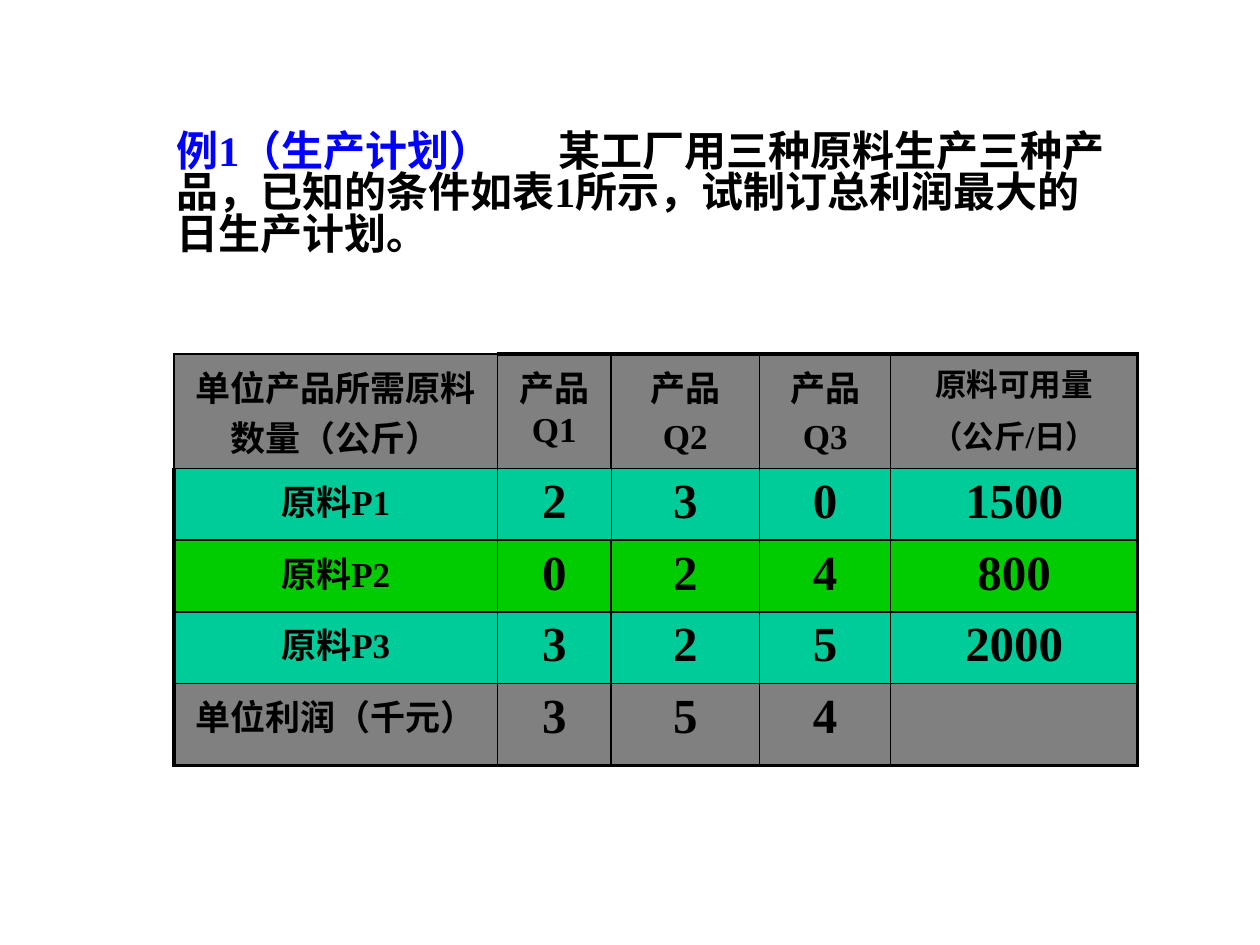
from lxml.etree import SubElement
from pptx import Presentation
from pptx.dml.color import RGBColor
from pptx.enum.lang import MSO_LANGUAGE_ID
from pptx.enum.text import MSO_ANCHOR, MSO_AUTO_SIZE, PP_ALIGN
from pptx.oxml.ns import qn
from pptx.util import Inches, Pt

BLACK = RGBColor(0x00, 0x00, 0x00)
WHITE = RGBColor(0xFF, 0xFF, 0xFF)
BLUE = RGBColor(0x00, 0x00, 0xFF)
GREY = RGBColor(0x80, 0x80, 0x80)
TEAL = RGBColor(0x00, 0xCC, 0x99)
GREEN = RGBColor(0x00, 0xCC, 0x00)

THIN, THICK, HAIR = 1, 2.25, 0.25
COLUMN_WIDTHS = [2.57, 0.9, 1.18, 1.04, 1.96]
ROW_HEIGHTS = [0.83, 0.57, 0.57, 0.57, 0.65]
ROW_FILLS = [GREY, TEAL, GREEN, TEAL, GREY]
ROWS = [
    ["单位产品所需原料数量（公斤）", "产品Q1", "产品\nQ2", "产品\nQ3", "原料可用量\n（公斤/日）"],
    ["原料P1", "2", "3", "0", "1500"],
    ["原料P2", "0", "2", "4", "800"],
    ["原料P3", "3", "2", "5", "2000"],
    ["单位利润（千元）", "3", "5", "4", ""],
]
LAST_ROW, LAST_COLUMN = len(ROWS) - 1, len(COLUMN_WIDTHS) - 1


def text_size(row, column):
    if row == 0 and column == LAST_COLUMN:
        return 18
    return 20 if row == 0 or column == 0 else 28


def border_widths(row, column):
    """Thick outer frame, except on the outer sides of the corner cell."""
    widths = {
        "a:lnL": THICK if column == 0 and row > 0 else THIN,
        "a:lnR": THICK if column == LAST_COLUMN else THIN,
        "a:lnT": THICK if row == 0 and column > 0 else THIN,
        "a:lnB": THICK if row == LAST_ROW else THIN,
    }
    if (row, column) == (1, 1):
        widths["a:lnR"] = HAIR
    if (row, column) == (1, 2):
        widths["a:lnL"] = HAIR
    return widths


class SlideBuilder:
    font_name = "Times New Roman"

    def __init__(self, page):
        self.page = page

    def add_span(self, para, text, size, color=BLACK):
        span = para.add_run()
        span.text = text
        font = span.font
        font.name, font.size, font.bold = self.font_name, Pt(size), True
        font.color.rgb = color
        font.language_id = MSO_LANGUAGE_ID.SIMPLIFIED_CHINESE

    def add_title(self, spans, size, tab_position):
        box = self.page.shapes.title
        box.left, box.top = Inches(1.3), Inches(0.84)
        box.width, box.height = Inches(7.58), Inches(1.42)
        box.fill.solid()
        box.fill.fore_color.rgb = WHITE
        box.line.color.rgb = WHITE
        box.line.width = Pt(0.75)
        frame = box.text_frame
        frame.word_wrap = True
        frame.auto_size = MSO_AUTO_SIZE.NONE
        frame.vertical_anchor = MSO_ANCHOR.MIDDLE
        para = frame.paragraphs[0]
        para.alignment = PP_ALIGN.LEFT
        para.line_spacing = 0.83
        tabs = SubElement(para._p.get_or_add_pPr(), qn("a:tabLst"))
        SubElement(tabs, qn("a:tab"), pos=str(tab_position), algn="l")
        for text, color in spans:
            self.add_span(para, text, size, color)

    def add_table(self):
        frame = self.page.shapes.add_table(
            len(ROWS), len(COLUMN_WIDTHS), Inches(1.38), Inches(2.81),
            Inches(sum(COLUMN_WIDTHS)), Inches(sum(ROW_HEIGHTS)))
        table = frame.table
        table.first_row = table.horz_banding = False
        for column, width in zip(table.columns, COLUMN_WIDTHS):
            column.width = Inches(width)
        for row, height in zip(table.rows, ROW_HEIGHTS):
            row.height = Inches(height)
        for r, texts in enumerate(ROWS):
            for c, text in enumerate(texts):
                self.fill_cell(table.cell(r, c), text, text_size(r, c),
                               ROW_FILLS[r], border_widths(r, c))

    def fill_cell(self, cell, text, size, color, borders):
        for name, width in borders.items():
            line = SubElement(cell._tc.get_or_add_tcPr(), qn(name), w=str(Pt(width)))
            fill = SubElement(line, qn("a:solidFill"))
            SubElement(fill, qn("a:srgbClr"), val=str(BLACK))
        cell.fill.solid()
        cell.fill.fore_color.rgb = color
        if not text:
            return
        for index, line_text in enumerate(text.split("\n")):
            frame = cell.text_frame
            para = frame.add_paragraph() if index else frame.paragraphs[0]
            para.alignment = PP_ALIGN.CENTER
            if index:
                para.space_before = Pt(0.2 * size)
            self.add_span(para, line_text, size)


def main():
    deck = Presentation()
    deck.slide_width, deck.slide_height = Inches(10), Inches(7.5)
    builder = SlideBuilder(deck.slides.add_slide(deck.slide_layouts[5]))
    builder.add_title(
        [("例1（生产计划）", BLUE),
         ("\t某工厂用三种原料生产三种产品，已知的条件如表1所示，"
          "试制订总利润最大的日生产计划。", BLACK)],
        size=24, tab_position=Inches(3.03))
    builder.add_table()
    deck.save("out.pptx")


if __name__ == "__main__":
    main()
